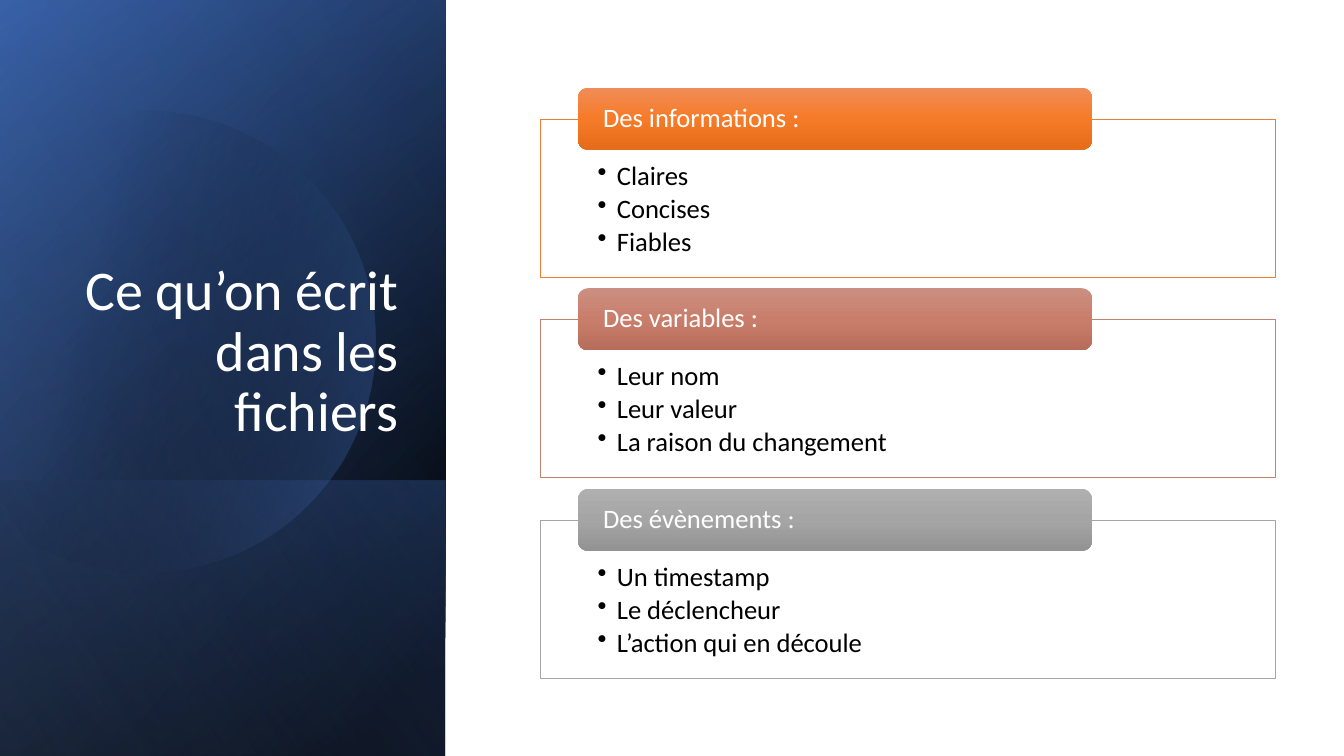
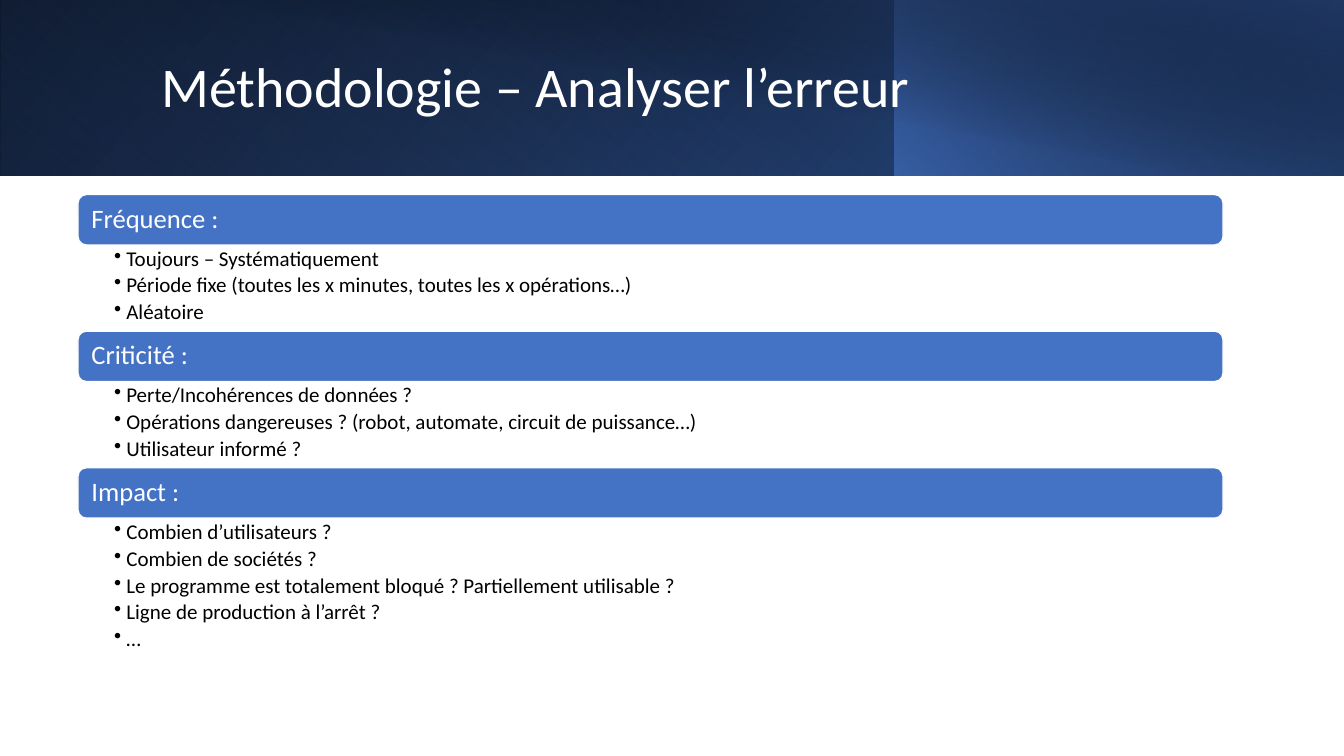
import math

import lxml.etree
import pptx
import pptx.dml.color
import pptx.enum.shapes
import pptx.enum.text
import pptx.oxml.ns
import pptx.util

# Shared look
COLORS = {
    "white": "FFFFFF", "black": "000000", "blue": "4472C4",
    "deep": "2F5597", "navy": "203864", "pale": "8FAADC",
    "orange": "ED7D31", "rose": "C48170", "grey": "A5A5A5",
}
PILL_SHADES = {
    "orange": ("F18C57", "F67B28", "E56C19"),
    "rose": ("CB8F81", "C97E6B", "B76D5B"),
    "grey": ("AFAFAF", "A5A5A5", "939393"),
}
FONT = "Calibri"
TITLE_SIZE, HEADING_SIZE = 40, 19
WIDTH = pptx.util.Inches(13.33)
HEIGHT = pptx.util.Inches(7.5)
PANEL_WIDTH = 33.15   # percent of the slide's width
BANNER_HEIGHT = 23.2  # percent of the slide's height

RECT = pptx.enum.shapes.MSO_SHAPE.RECTANGLE
ROUNDED = pptx.enum.shapes.MSO_SHAPE.ROUNDED_RECTANGLE
ANCHOR = pptx.enum.text.MSO_ANCHOR
ALIGN = pptx.enum.text.PP_ALIGN

# Content
FILE_CONTENTS = [
    ("Des informations :", "orange", ["Claires", "Concises", "Fiables"]),
    ("Des variables :", "rose",
     ["Leur nom", "Leur valeur", "La raison du changement"]),
    ("Des évènements :", "grey",
     ["Un timestamp", "Le déclencheur", "L’action qui en découle"]),
]
ERROR_CRITERIA = [
    ("Fréquence :", [
        "Toujours – Systématiquement",
        "Période fixe (toutes les x minutes, toutes les x opérations…)",
        "Aléatoire"]),
    ("Criticité :", [
        "Perte/Incohérences de données ?",
        "Opérations dangereuses ? (robot, automate, circuit de puissance…)",
        "Utilisateur informé ?"]),
    ("Impact :", [
        "Combien d’utilisateurs ?",
        "Combien de sociétés ?",
        "Le programme est totalement bloqué ? Partiellement utilisable ?",
        "Ligne de production à l’arrêt ?",
        "…"]),
]


def area(left, top, width, height):
    """Turn percentages of the slide into lengths."""
    return (int(WIDTH * left / 100), int(HEIGHT * top / 100),
            int(WIDTH * width / 100), int(HEIGHT * height / 100))


def rgb(name):
    return pptx.dml.color.RGBColor.from_string(COLORS[name])


# Fills
def fill_gradient(shape, stops, angle):
    """Fill with (position, hex, opacity) stops, along an angle in degrees."""
    shape.fill.background()
    properties = shape.element.spPr
    qn = pptx.oxml.ns.qn
    gradient = lxml.etree.Element(qn("a:gradFill"), rotWithShape="1")
    stop_list = lxml.etree.SubElement(gradient, qn("a:gsLst"))
    for position, color, opacity in stops:
        stop = lxml.etree.SubElement(
            stop_list, qn("a:gs"), pos=str(position * 1000))
        tint = lxml.etree.SubElement(stop, qn("a:srgbClr"), val=color)
        if opacity < 100:
            lxml.etree.SubElement(
                tint, qn("a:alpha"), val=str(opacity * 1000))
    lxml.etree.SubElement(
        gradient, qn("a:lin"), ang=str(angle * 60000), scaled="0")
    properties.replace(properties.find(qn("a:noFill")), gradient)


def blend(start, end):
    """Two gradient stops given as (position, colour name, opacity)."""
    return [(position, COLORS[name], opacity)
            for position, name, opacity in (start, end)]


def add_plain(slide, kind, place, line=None, line_width=0.5):
    shape = slide.shapes.add_shape(kind, *place)
    shape.shadow.inherit = False
    if line:
        shape.line.color.rgb = rgb(line)
        shape.line.width = pptx.util.Pt(line_width)
    else:
        shape.line.fill.background()
    return shape


def add_band(slide, place, stops, angle, turn=0, flip=True):
    """Gradient rectangle that covers place once it has been turned."""
    left, top, width, height = place
    if turn == 90:
        left, top = left + (width - height) // 2, top + (height - width) // 2
        width, height = height, width
    band = add_plain(slide, RECT, (left, top, width, height))
    band.rotation = turn
    if flip:
        band.element.spPr.xfrm.set("flipH", "1")
    fill_gradient(band, stops, angle)


def add_disc(slide):
    """Disc of the side panel, cut off just past the slide's left edge."""
    center_x, center_y, radius, cut = 1.43, 3.39, 2.29, -0.15
    reach = math.acos((cut - center_x) / radius)
    steps = 90
    points = []
    for step in range(steps + 1):
        turn = reach * (2 * step / steps - 1)
        points.append((pptx.util.Inches(center_x + radius * math.cos(turn)),
                       pptx.util.Inches(center_y + radius * math.sin(turn))))
    outline = slide.shapes.build_freeform(*points[0], scale=1.0)
    outline.add_line_segments(points[1:], close=True)
    disc = outline.convert_to_shape()
    disc.shadow.inherit = False
    disc.line.fill.background()
    fill_gradient(disc, blend((29, "black", 0), (100, "blue", 43)), 14)


# Text
def set_frame(shape, anchor, left=0.1, top=0.05, right=0.1, bottom=0.05):
    frame = shape.text_frame
    frame.word_wrap = True
    frame.auto_size = pptx.enum.text.MSO_AUTO_SIZE.NONE
    frame.vertical_anchor = anchor
    frame.margin_left = pptx.util.Inches(left)
    frame.margin_top = pptx.util.Inches(top)
    frame.margin_right = pptx.util.Inches(right)
    frame.margin_bottom = pptx.util.Inches(bottom)
    return frame


def write(paragraph, words, size, color, align=ALIGN.LEFT):
    paragraph.alignment = align
    paragraph.line_spacing = 0.9
    run = paragraph.add_run()
    run.text = words
    run.font.name = FONT
    run.font.size = pptx.util.Pt(size)
    run.font.color.rgb = rgb(color)


def write_bullets(frame, items, size, indent):
    hang = pptx.util.Inches(indent)
    for index, item in enumerate(items):
        paragraph = frame.add_paragraph() if index else frame.paragraphs[0]
        write(paragraph, item, size, "black")
        paragraph.space_after = pptx.util.Pt(3)
        settings = paragraph._p.get_or_add_pPr()
        settings.set("marL", str(hang))
        settings.set("indent", str(-hang))
        lxml.etree.SubElement(
            settings, pptx.oxml.ns.qn("a:buChar"), char="•")


def place_title(slide, words, place, anchor, align=ALIGN.LEFT):
    title = slide.shapes.title
    title.left, title.top, title.width, title.height = place
    frame = set_frame(title, anchor)
    write(frame.paragraphs[0], words, TITLE_SIZE, "white", align)
    title.element.getparent().append(title.element)  # in front of the bands


def add_heading(slide, words, place, inset, line=None):
    heading = add_plain(slide, ROUNDED, place, line, 1)
    frame = set_frame(heading, ANCHOR.MIDDLE, inset, 0, inset, 0)
    write(frame.paragraphs[0], words, HEADING_SIZE, "white")
    return heading


# Groups of content
def add_card(slide, top, heading, color, items):
    card = add_plain(slide, RECT, area(40.2, top, 54.7, 20.93), color)
    card.fill.solid()
    card.fill.fore_color.rgb = rgb("white")
    frame = set_frame(card, ANCHOR.TOP, 0.57, 0.43, 0.57, 0.15)
    write_bullets(frame, items, HEADING_SIZE, 0.19)
    pill = add_heading(slide, heading, area(43, top - 4.13, 38.26, 8.2), 0.22)
    shades = [(50 * index, shade, 100)
              for index, shade in enumerate(PILL_SHADES[color])]
    fill_gradient(pill, shades, 90)


def add_section(slide, top, heading, items):
    """Bar with its list; returns where the next section begins."""
    left, width, bar_height, line_height = 5.8, 85.2, 6.67, 3.8
    bar = add_heading(
        slide, heading, area(left, top, width, bar_height), 0.11, "white")
    bar.fill.solid()
    bar.fill.fore_color.rgb = rgb("blue")
    list_top = top + bar_height
    list_height = line_height * len(items)
    answers = slide.shapes.add_textbox(
        *area(left, list_top, width, list_height))
    frame = set_frame(answers, ANCHOR.TOP, 0.36, 0.03, 0.15, 0.03)
    write_bullets(frame, items, 15, 0.12)
    return list_top + list_height


# Slides
def build_file_contents(slide):
    panel = area(0, 0, PANEL_WIDTH, 100)
    foot = area(0, 63.5, PANEL_WIDTH, 36.5)
    add_band(slide, panel,
             blend((8, "black", 100), (100, "deep", 100)), 50, 90)
    add_band(slide, panel, blend((0, "black", 0), (99, "blue", 46)), 30, 90)
    add_band(slide, foot, blend((2, "blue", 29), (100, "black", 30)), 130, 90)
    add_disc(slide)
    add_band(slide, panel, blend((0, "black", 0), (99, "pale", 11)), 120, 90)
    place_title(slide, "Ce qu’on écrit dans les fichiers",
                area(4.8, 24.5, 25.6, 34.9), ANCHOR.BOTTOM, ALIGN.RIGHT)
    for row, (heading, color, items) in enumerate(FILE_CONTENTS):
        add_card(slide, 15.73 + 26.53 * row, heading, color, items)


def build_error_analysis(slide):
    split = 66.55
    add_band(slide, area(0, 0, 100, BANNER_HEIGHT),
             blend((0, "black", 100), (100, "deep", 100)), 140)
    add_band(slide, area(0, 0, split, BANNER_HEIGHT),
             blend((20, "blue", 0), (100, "navy", 55)), 230, 180)
    add_band(slide, area(split, 0, 100 - split, BANNER_HEIGHT),
             blend((0, "blue", 66), (100, "black", 30)), 220)
    add_band(slide, area(3.75, 0, 96.25, BANNER_HEIGHT),
             blend((50, "black", 0), (99, "navy", 52)), 280, flip=False)
    place_title(slide, "Méthodologie – Analyser l’erreur",
                area(11.25, 4.3, 81.15, 15.1), ANCHOR.MIDDLE)
    top = 25.73
    for heading, items in ERROR_CRITERIA:
        top = add_section(slide, top, heading, items)


def main():
    deck = pptx.Presentation()
    deck.slide_width, deck.slide_height = WIDTH, HEIGHT
    title_only = deck.slide_layouts[5]
    for build in (build_file_contents, build_error_analysis):
        build(deck.slides.add_slide(title_only))
    deck.save("out.pptx")


if __name__ == "__main__":
    main()
